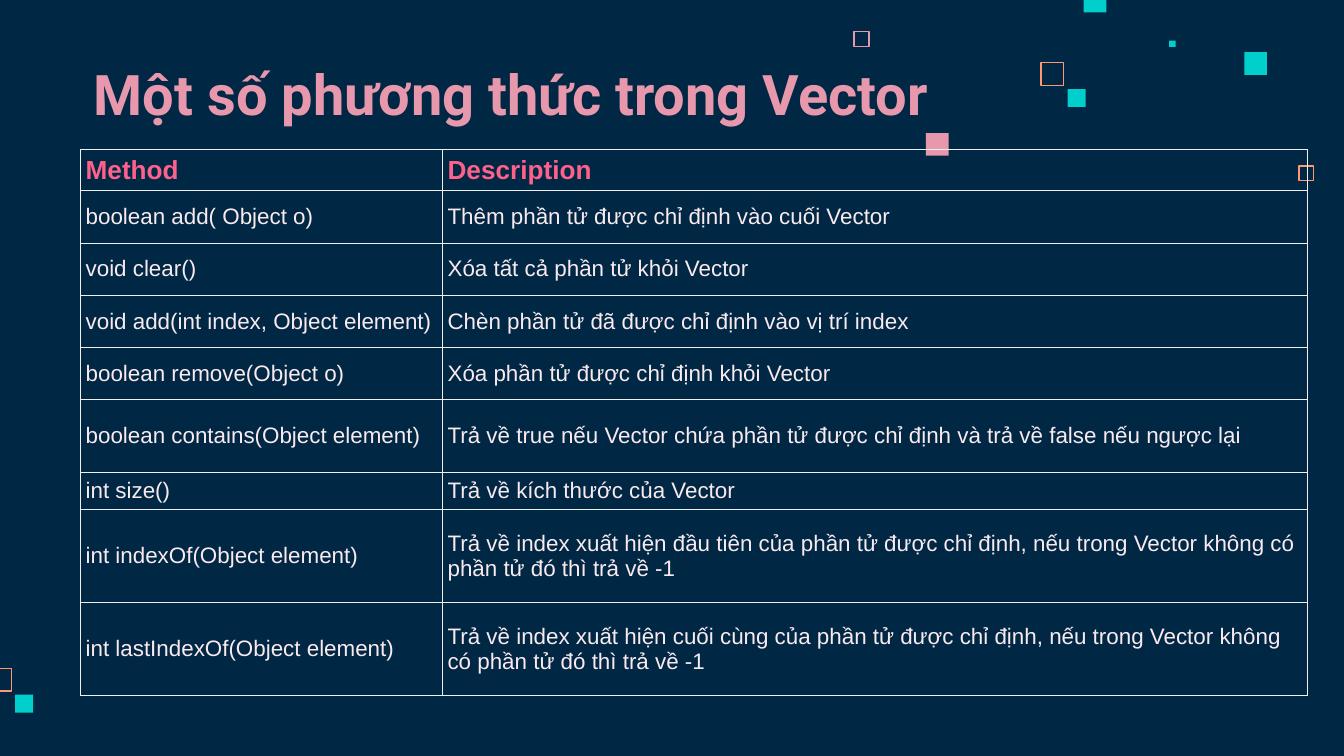
"""Build a slide that lists the methods of the Vector class."""

from dataclasses import dataclass

from lxml import etree
from pptx import Presentation
from pptx.dml.color import RGBColor
from pptx.enum.shapes import MSO_SHAPE
from pptx.enum.text import MSO_ANCHOR
from pptx.oxml.ns import qn
from pptx.slide import Slide
from pptx.table import _Cell
from pptx.util import Pt

RECTANGLE = MSO_SHAPE.RECTANGLE
MIDDLE = MSO_ANCHOR.MIDDLE
BOTTOM = MSO_ANCHOR.BOTTOM

NAVY = RGBColor(0x00, 0x28, 0x45)
ORANGE = RGBColor(0xFF, 0x99, 0x73)
PINK = RGBColor(0xE8, 0x98, 0xAC)
TEAL = RGBColor(0x00, 0xCF, 0xCC)
HEADER_PINK = RGBColor(0xFF, 0x61, 0x8B)
PALE_PINK = RGBColor(0xFA, 0xEA, 0xEE)
BORDER_GREY = RGBColor(0xF0, 0xF0, 0xF0)

FRAME_WIDTH = 0.75
BORDER_WIDTH = 0.6
CELL_MARGIN = 2.7
COLUMN_WIDTHS = (193.9, 463.5)


@dataclass(frozen=True)
class Square:
    """A decorative square, either solid or a thin frame."""

    left: float
    top: float
    size: float
    color: RGBColor
    framed: bool = False


@dataclass(frozen=True)
class MethodRow:
    """A table row with its height in points."""

    height: float
    method: str
    description: str


SQUARES = (
    Square(695.5, 88.6, 8.7, ORANGE, True),
    Square(457.2, 16.6, 8.7, PINK, True),
    Square(557.3, 33.1, 13, ORANGE, True),
    Square(626.4, 21.8, 3.4, TEAL),
    Square(580.6, -5.5, 12.2, TEAL),
    Square(666.6, 28, 12.2, TEAL),
    Square(572, 47.7, 9.6, TEAL),
    Square(496.1, 71.3, 12.2, PINK),
    Square(-6.5, 357.7, 13, ORANGE, True),
    Square(8.1, 372.2, 9.6, TEAL),
)

ROWS = (
    MethodRow(21.5, "Method", "Description"),
    MethodRow(28, "boolean add( Object o)", "Thêm phần tử được chỉ định vào cuối Vector"),
    MethodRow(28, "void clear()", "Xóa tất cả phần tử khỏi Vector"),
    MethodRow(28, "void add(int index, Object element)",
              "Chèn phần tử đã được chỉ định vào vị trí index"),
    MethodRow(28, "boolean remove(Object o)", "Xóa phần tử được chỉ định khỏi Vector"),
    MethodRow(39, "boolean contains(Object element)",
              "Trả về true nếu Vector chứa phần tử được chỉ định "
              "và trả về false nếu ngược lại"),
    MethodRow(19.2, "int size()", "Trả về kích thước của Vector"),
    MethodRow(49.8, "int indexOf(Object element)",
              "Trả về index xuất hiện đầu tiên của phần tử được chỉ định, "
              "nếu trong Vector không có phần tử đó thì trả về -1"),
    MethodRow(49.8, "int lastIndexOf(Object element)",
              "Trả về index xuất hiện cuối cùng của phần tử được chỉ định, "
              "nếu trong Vector không có phần tử đó thì trả về -1"),
)


def draw_square(slide: Slide, square: Square) -> None:
    """Draw a solid square or a frame that stays inside its bounds."""
    inset = FRAME_WIDTH / 2 if square.framed else 0
    size = Pt(square.size - 2 * inset)
    shape = slide.shapes.add_shape(
        RECTANGLE, Pt(square.left + inset), Pt(square.top + inset), size, size)
    shape.shadow.inherit = False
    if square.framed:
        shape.fill.background()
        shape.line.color.rgb = square.color
        shape.line.width = Pt(FRAME_WIDTH)
    else:
        shape.fill.solid()
        shape.fill.fore_color.rgb = square.color
        shape.line.fill.background()


def draw_title(slide: Slide, text: str) -> None:
    """Draw the slide title."""
    title = slide.shapes.add_textbox(Pt(43.2), Pt(23.8), Pt(634.3), Pt(51.1))
    frame = title.text_frame
    frame.word_wrap = True
    frame.vertical_anchor = BOTTOM
    frame.margin_left = frame.margin_right = Pt(7.2)
    frame.margin_top = frame.margin_bottom = Pt(7.2)
    paragraph = frame.paragraphs[0]
    paragraph.text = text
    paragraph.font.name = "Roboto"
    paragraph.font.size = Pt(30)
    paragraph.font.bold = True
    paragraph.font.color.rgb = PINK


def add_borders(cell: _Cell) -> None:
    """Give a cell a thin line on all four sides."""
    properties = cell._tc.get_or_add_tcPr()
    for side in ("lnL", "lnR", "lnT", "lnB"):
        line = etree.SubElement(properties, qn(f"a:{side}"), w=str(Pt(BORDER_WIDTH)))
        fill = etree.SubElement(line, qn("a:solidFill"))
        etree.SubElement(fill, qn("a:srgbClr"), val=str(BORDER_GREY))


def fill_cell(cell: _Cell, text: str, is_header: bool) -> None:
    """Write and style one table cell."""
    add_borders(cell)
    cell.fill.background()
    cell.vertical_anchor = MIDDLE
    cell.margin_left = cell.margin_right = Pt(CELL_MARGIN)
    cell.margin_top = cell.margin_bottom = Pt(CELL_MARGIN)
    paragraph = cell.text_frame.paragraphs[0]
    paragraph.text = text
    paragraph.font.name = "Arial"
    paragraph.font.size = Pt(14 if is_header else 12)
    paragraph.font.bold = is_header
    paragraph.font.color.rgb = HEADER_PINK if is_header else PALE_PINK


def draw_table(slide: Slide, rows: tuple[MethodRow, ...]) -> None:
    """Draw the table of methods and descriptions."""
    height = sum(row.height for row in rows)
    table = slide.shapes.add_table(
        len(rows), len(COLUMN_WIDTHS), Pt(43.2), Pt(80),
        Pt(sum(COLUMN_WIDTHS)), Pt(height)).table
    table.first_row = False
    table.horz_banding = False
    for column, width in zip(table.columns, COLUMN_WIDTHS):
        column.width = Pt(width)
    for index, row in enumerate(rows):
        table.rows[index].height = Pt(row.height)
        for column_index, text in enumerate((row.method, row.description)):
            fill_cell(table.cell(index, column_index), text, index == 0)


def main() -> None:
    """Create and save the presentation."""
    presentation = Presentation()
    presentation.slide_width = Pt(720)
    presentation.slide_height = Pt(405)
    slide = presentation.slides.add_slide(presentation.slide_layouts[6])
    slide.background.fill.solid()
    slide.background.fill.fore_color.rgb = NAVY
    for square in SQUARES:
        draw_square(slide, square)
    draw_title(slide, "Một số phương thức trong Vector")
    draw_table(slide, ROWS)
    presentation.save("out.pptx")


if __name__ == "__main__":
    main()
